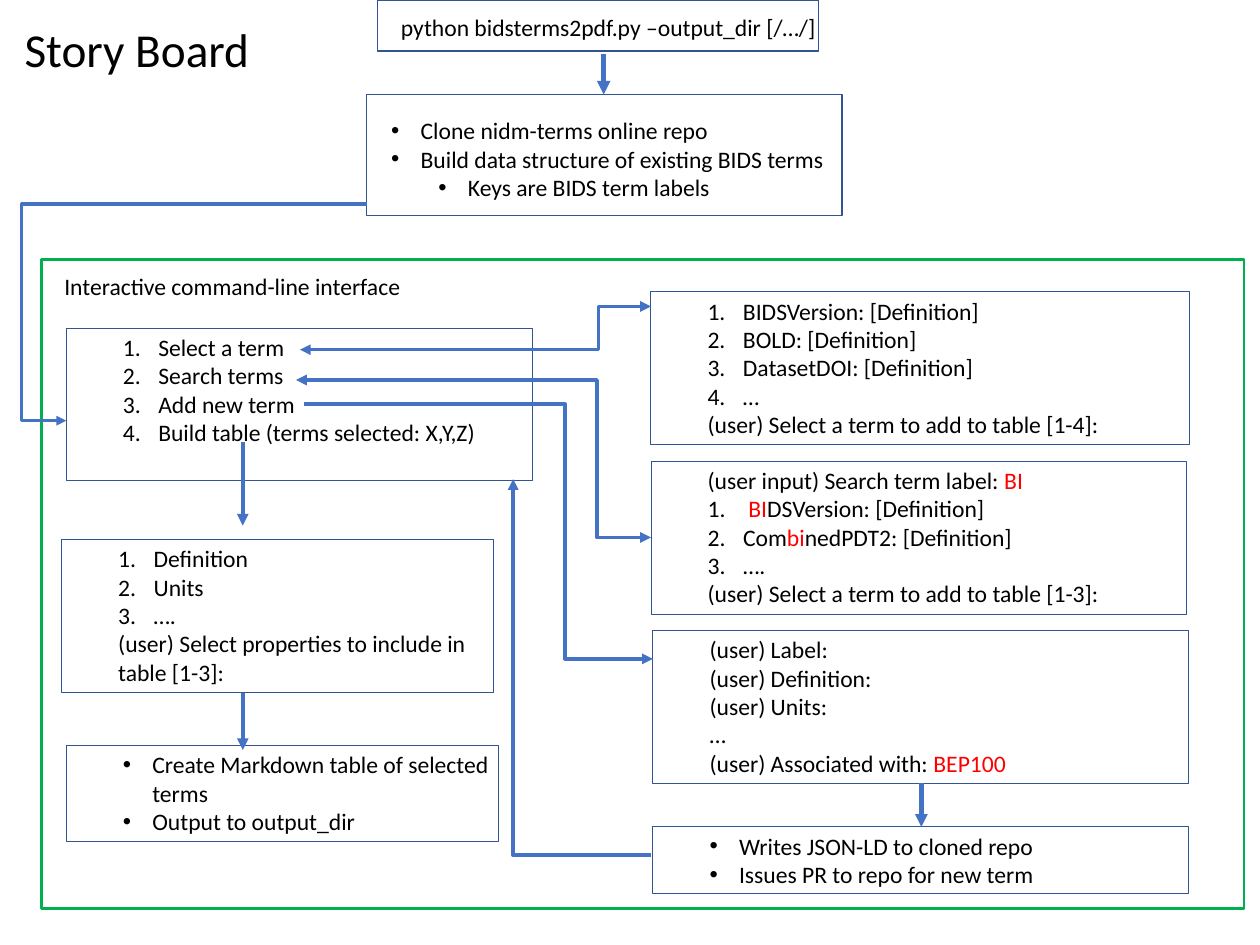
from lxml import etree
from pptx import Presentation
from pptx.dml.color import RGBColor
from pptx.enum.shapes import MSO_CONNECTOR, MSO_SHAPE
from pptx.enum.text import MSO_ANCHOR, MSO_AUTO_SIZE, PP_ALIGN
from pptx.oxml.ns import qn
from pptx.util import Pt

RECTANGLE = MSO_SHAPE.RECTANGLE
STRAIGHT, ELBOW = MSO_CONNECTOR.STRAIGHT, MSO_CONNECTOR.ELBOW
TOP, LEFT, NO_FIT = MSO_ANCHOR.TOP, PP_ALIGN.LEFT, MSO_AUTO_SIZE.NONE

THEME = {
    "font": "Calibri", "title_size": 36, "text_size": 18,
    "text": RGBColor(0, 0, 0), "typed": RGBColor(255, 0, 0),
    "box": RGBColor(0x32, 0x54, 0x91), "frame": RGBColor(0, 0xB0, 0x50),
    "arrow": RGBColor(0x44, 0x72, 0xC4),
}

# Paragraph kinds: level, left margin, first-line indent, marker
KINDS = {
    "plain": (0, 0, 0, None),
    "prompt": (1, 36, 0, None),
    "number": (1, 63, -27, "buAutoNum"),
    "bullet": (1, 58.5, -22.5, "buChar"),
    "step": (0, 22.5, -22.5, "buChar"),
}
MARKERS = {"buAutoNum": ("type", "arabicPeriod"), "buChar": ("char", "•")}


def write(frame, lines, size=THEME["text_size"], wrap=True, left=7.2, top=3.6, right=7.2):
    """Fill a text frame with (kind, text) lines; text between bars is typed by the user."""
    frame.word_wrap = wrap
    frame.auto_size = NO_FIT
    frame.vertical_anchor = TOP
    frame.margin_left, frame.margin_right = Pt(left), Pt(right)
    frame.margin_top, frame.margin_bottom = Pt(top), Pt(3.6)
    for index, (kind, text) in enumerate(lines):
        paragraph = frame.add_paragraph() if index else frame.paragraphs[0]
        level, margin, indent, marker = KINDS[kind]
        paragraph.alignment = LEFT
        paragraph.level = level
        properties = paragraph._p.get_or_add_pPr()
        properties.set("marL", str(Pt(margin)))
        properties.set("indent", str(Pt(indent)))
        if marker:
            etree.SubElement(properties, qn("a:buFont")).set("typeface", "Arial")
            etree.SubElement(properties, qn("a:" + marker)).set(*MARKERS[marker])
        for part, words in enumerate(text.split("|")):
            if words:
                run = paragraph.add_run()
                run.text = words
                run.font.name = THEME["font"]
                run.font.size = Pt(size)
                run.font.color.rgb = THEME["typed" if part % 2 else "text"]


def link(start, end, width, bend=None, corner=False, both=False):
    """Draw an arrow, straight, bent at a given x, or with a single corner."""
    kind = ELBOW if corner or bend is not None else STRAIGHT
    arrow = slide.shapes.add_connector(kind, *map(Pt, start + end))
    arrow.line.color.rgb = THEME["arrow"]
    arrow.line.width = Pt(width)
    properties = arrow._element.spPr
    geometry = properties.find(qn("a:prstGeom"))
    if corner:
        geometry.set("prst", "bentConnector2")
    elif bend is not None:
        share = round((bend - start[0]) / (end[0] - start[0]) * 100000)
        guide = etree.SubElement(geometry.find(qn("a:avLst")), qn("a:gd"))
        guide.set("name", "adj1")
        guide.set("fmla", f"val {share}")
    outline = properties.find(qn("a:ln"))
    for tip in ("a:headEnd", "a:tailEnd") if both else ("a:tailEnd",):
        etree.SubElement(outline, qn(tip)).set("type", "triangle")
    etree.SubElement(properties, qn("a:effectLst"))


deck = Presentation()
deck.slide_width, deck.slide_height = Pt(960), Pt(720)
slide = deck.slides.add_slide(deck.slide_layouts[5])

title = slide.shapes.title
title.left, title.top, title.width, title.height = map(Pt, (11.5, 12.2, 187, 51))
write(title.text_frame, [("plain", "Story Board")], size=THEME["title_size"], wrap=False)

# Boxes: place, outline colour, outline width, lines, text format
boxes = [
    ((287.5, 0, 336, 39), "box", 1,
     [("plain", "python bidsterms2pdf.py –output_dir [/…/]")],
     {"left": 18, "top": 9.5, "right": 0}),
    ((279.5, 72, 362, 92), "box", 1,
     [("step", "Clone nidm-terms online repo"),
      ("step", "Build data structure of existing BIDS terms"),
      ("bullet", "Keys are BIDS term labels")],
     {"left": 18.5, "top": 16.5}),
    ((50.5, 250, 355, 116.5), "box", 0.75,
     [("number", "Select a term"), ("number", "Search terms"),
      ("number", "Add new term"),
      ("number", "Build table (terms selected: X,Y,Z)")], {}),
    ((31.5, 197.5, 916.5, 494.5), "frame", 2,
     [("plain", "Interactive command-line interface")],
     {"left": 17.5, "top": 10}),
    ((496, 222.5, 410.5, 116.5), "box", 0.75,
     [("number", "BIDSVersion: [Definition]"), ("number", "BOLD: [Definition]"),
      ("number", "DatasetDOI: [Definition]"), ("number", "…"),
      ("prompt", "(user) Select a term to add to table [1-4]:")], {}),
    ((496, 351.5, 408, 116.5), "box", 0.75,
     [("prompt", "(user input) Search term label: |BI|"),
      ("number", " |BI|DSVersion: [Definition]"),
      ("number", "Com|bi|nedPDT2: [Definition]"), ("number", "…."),
      ("prompt", "(user) Select a term to add to table [1-3]:")], {}),
    ((497.5, 480.5, 408, 116.5), "box", 0.75,
     [("prompt", "(user) Label:"), ("prompt", "(user) Definition:"),
      ("prompt", "(user) Units:"), ("prompt", "…"),
      ("prompt", "(user) Associated with: |BEP100|")], {}),
    ((497.5, 630, 408, 51), "box", 0.75,
     [("bullet", "Writes JSON-LD to cloned repo"),
      ("bullet", "Issues PR to repo for new term")], {}),
    ((50.5, 568, 329, 73), "box", 0.75,
     [("bullet", "Create Markdown table of selected terms"),
      ("bullet", "Output to output_dir")], {}),
    ((47, 411, 329, 116.5), "box", 0.75,
     [("number", "Definition"), ("number", "Units"), ("number", "…."),
      ("prompt", "(user) Select properties to include in table [1-3]:")], {}),
]
for place, colour, width, lines, text_format in boxes:
    box = slide.shapes.add_shape(RECTANGLE, *map(Pt, place))
    box.shadow.inherit = False
    box.fill.background()
    box.line.color.rgb = THEME[colour]
    box.line.width = Pt(width)
    write(box.text_frame, lines, **text_format)

# Start-up and the way into the menu
link((460, 41), (460, 72), 3.5)
link((279.5, 155.5), (50.5, 320.5), 2.5, bend=16.5)

# Menu entries to their dialogs
link((228.5, 266.5), (496, 233.5), 2.75, bend=456, both=True)
link((225.5, 289.5), (496, 409.5), 2.75, bend=455, both=True)
link((232, 308), (497.5, 502), 2.75, bend=430.5)

# New term is written, then back to the menu
link((702, 596.5), (702, 630), 3.25)
link((496, 651.5), (391, 365), 2.75, corner=True)

# Table is built and saved
link((185, 337), (185, 400.5), 3)
link((185, 528), (185, 571.5), 3)

deck.save("out.pptx")
